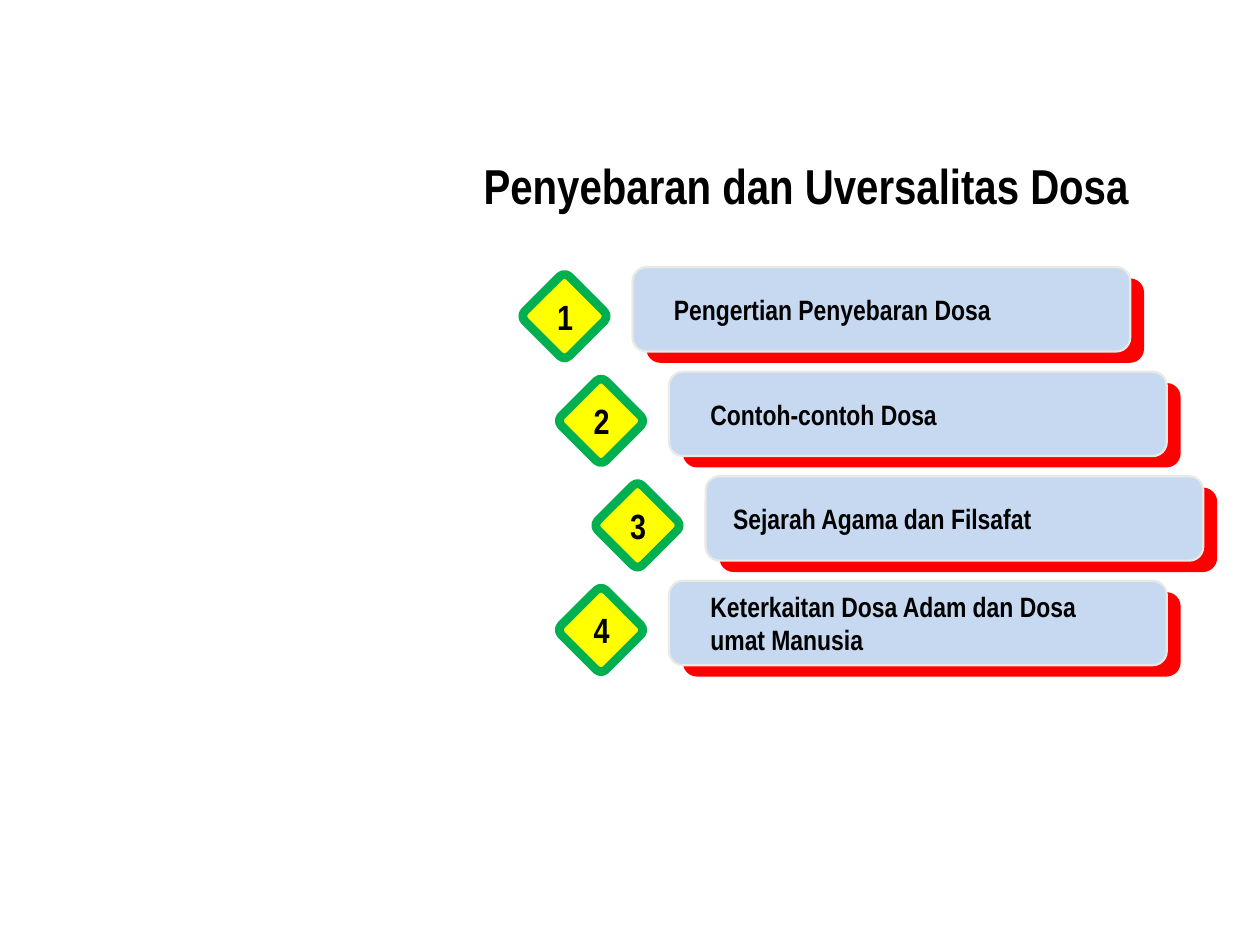
from pptx import Presentation
from pptx.dml.color import RGBColor
from pptx.enum.shapes import MSO_SHAPE
from pptx.enum.text import MSO_ANCHOR, PP_ALIGN
from pptx.util import Inches, Pt

TITLE = "Penyebaran dan Uversalitas Dosa"
# Topic, indent steps, label offset from the bar's left edge, label height
TOPICS = [
    ("Pengertian Penyebaran Dosa", 0, 0.23, 0.37),
    ("Contoh-contoh Dosa", 1, 0.23, 0.37),
    ("Sejarah Agama dan Filsafat", 2, 0.12, 0.37),
    ("Keterkaitan Dosa Adam dan Dosa umat Manusia", 1, 0.23, 0.64),
]
COLORS = {"text": "000000", "shadow": "FF0000", "bar": "C6D9F1",
          "bar_edge": "E9EAE4", "diamond": "FFFF00", "diamond_edge": "00B050"}
FONT = "Arial Narrow"

# Layout in inches
FIRST_LEFT, FIRST_TOP = 5.02, 2.12
INDENT, ROW_STEP = 0.29, 0.83
BAR_WIDTH, BAR_HEIGHT = 3.95, 0.67
SHADOW_DX, SHADOW_DY = 0.11, 0.09
DIAMOND_DX, DIAMOND_DY, DIAMOND_SIZE = -0.79, 0.14, 0.5


def color(name):
    return RGBColor.from_string(COLORS[name])


def add_round_box(parent, left, top, width, height, fill, edge=None, edge_width=0):
    box = parent.shapes.add_shape(MSO_SHAPE.ROUNDED_RECTANGLE, Inches(left),
                                  Inches(top), Inches(width), Inches(height))
    box.shadow.inherit = False
    box.fill.solid()
    box.fill.fore_color.rgb = color(fill)
    if edge:
        box.line.color.rgb = color(edge)
        box.line.width = Pt(edge_width)
    else:
        box.line.fill.background()
    return box


def add_text(parent, text, left, top, width, height, size, align=PP_ALIGN.LEFT):
    frame = parent.shapes.add_textbox(Inches(left), Inches(top), Inches(width),
                                      Inches(height)).text_frame
    frame.word_wrap = True
    frame.vertical_anchor = MSO_ANCHOR.MIDDLE
    paragraph = frame.paragraphs[0]
    paragraph.text = text
    paragraph.alignment = align
    paragraph.font.name = FONT
    paragraph.font.size = Pt(size)
    paragraph.font.bold = True
    paragraph.font.color.rgb = color("text")


def add_topic(slide, index, topic, indent, label_dx, label_height):
    left = FIRST_LEFT + indent * INDENT
    top = FIRST_TOP + index * ROW_STEP
    row = slide.shapes.add_group_shape()

    # Bar with its offset shadow and label
    add_round_box(row, left + SHADOW_DX, top + SHADOW_DY,
                  BAR_WIDTH, BAR_HEIGHT, "shadow")
    add_round_box(row, left, top, BAR_WIDTH, BAR_HEIGHT, "bar", "bar_edge", 1.25)
    label_top = top + (BAR_HEIGHT - label_height) / 2
    add_text(row, topic, left + label_dx, label_top, 3.31, label_height, 16)

    # Numbered diamond
    diamond_left, diamond_top = left + DIAMOND_DX, top + DIAMOND_DY
    diamond = add_round_box(row, diamond_left, diamond_top, DIAMOND_SIZE,
                            DIAMOND_SIZE, "diamond", "diamond_edge", 5)
    diamond.rotation = 45
    diamond.adjustments[0] = 0.107
    add_text(row, str(index + 1), diamond_left + 0.09, diamond_top + 0.03,
             0.33, 0.44, 20, PP_ALIGN.CENTER)


def main():
    presentation = Presentation()
    presentation.slide_width = Inches(10)
    presentation.slide_height = Inches(7.5)
    slide = presentation.slides.add_slide(presentation.slide_layouts[6])

    add_text(slide, TITLE, 3.74, 1.15, 6.26, 0.63, 28)
    for index, topic in enumerate(TOPICS):
        add_topic(slide, index, *topic)

    presentation.save("out.pptx")


if __name__ == "__main__":
    main()
